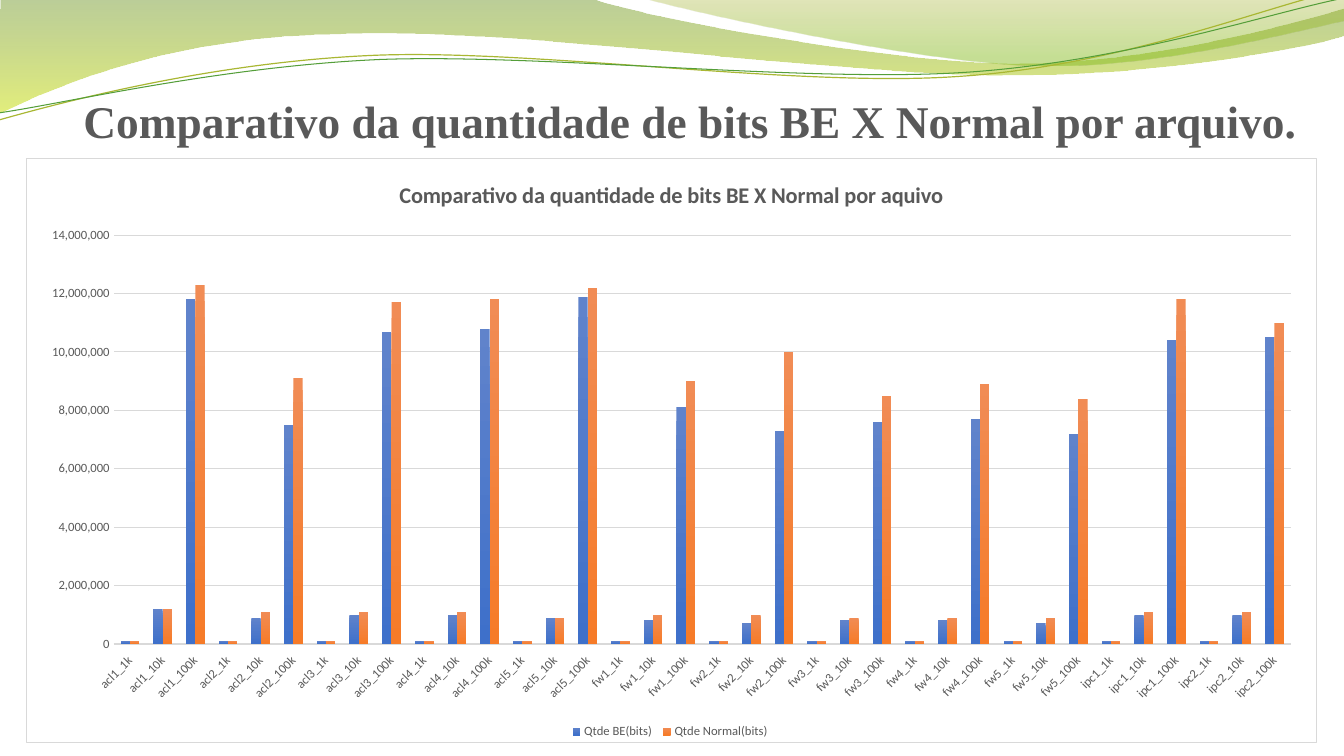
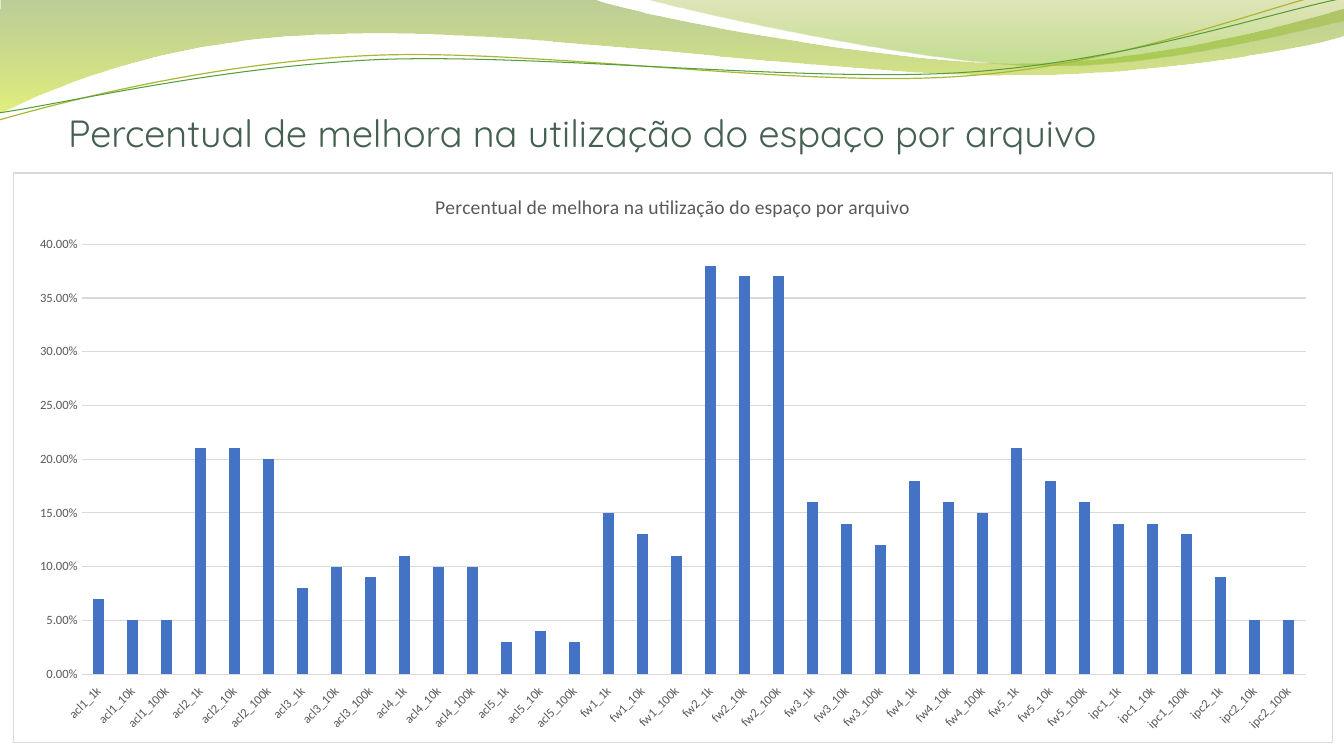
from lxml import etree
from pptx import Presentation
from pptx.chart.data import CategoryChartData
from pptx.dml.color import RGBColor
from pptx.enum import chart as ch, text
from pptx.oxml import parse_xml
from pptx.oxml.ns import nsdecls, qn
from pptx.util import Pt

GRAY = RGBColor(0x59, 0x59, 0x59)
RULE = RGBColor(0xD9, 0xD9, 0xD9)
SLATE = RGBColor(0x45, 0x5F, 0x51)
BLUE = RGBColor(0x44, 0x72, 0xC4)
BLUES = (RGBColor(0x60, 0x83, 0xCB), RGBColor(0x3E, 0x70, 0xCA))
ORANGES = (RGBColor(0xF1, 0x8C, 0x55), RGBColor(0xF6, 0x7B, 0x28))
OLIVE = RGBColor(0x69, 0x92, 0x1C)
LIME = RGBColor(0xCC, 0xE1, 0x0F)
MOSS = RGBColor(0x9B, 0xAA, 0x1A)
LEAF = RGBColor(0x81, 0xBA, 0x16)
GREEN = RGBColor(0x54, 0x9E, 0x39)
STRAW = RGBColor(0xA9, 0xB7, 0x33)

# Each wave: start point, then a line (one point) or a curve (three points) per step.
# Gradient stops are (position, colour, opacity in percent).
WAVES = [
    {"stops": [(0, OLIVE, 45), (1, LIME, 55)], "start": (0, 0), "steps": [
        [(422.6, -0.7)],
        [(456.5, 12.2), (636.5, 45.4), (728, 45.4)],
        [(818.6, 45.4), (919.4, 18.7), (960, 6.5)],
        [(960.5, 26)],
        [(944, 31.7), (834.5, 54.7), (715.7, 54)],
        [(596.9, 54), (366.5, 20.2), (247, 24.5)],
        [(123.1, 25.9), (43.9, 59.8), (-1.4, 81.4)]]},
    {"stops": [(0, MOSS, 30), (0.8, LEAF, 45)], "start": (459.4, -0.7), "steps": [
        [(488.9, 7.9), (654.5, 44.6), (738, 46.8)],
        [(820.8, 49.7), (923, 23), (960, 15.1)],
        [(960, 0)]]},
    {"line": (STRAW, 0.85), "start": (-0.7, 85.7), "steps": [
        [(45.4, 72.7), (151.2, 44.6), (265.7, 39.6)],
        [(379.4, 34.6), (568.1, 62.6), (683.3, 54.7)],
        [(799.2, 47.5), (900.7, 5.8), (957.6, -7.2)]]},
    {"line": (GREEN, 0.75), "start": (-0.7, 80.6), "steps": [
        [(44.6, 74.2), (157, 47.5), (271.4, 42.5)],
        [(386.6, 38.2), (573.1, 59), (687.6, 51.8)],
        [(802.1, 44.6), (903.6, 10.1), (959.8, -1.4)]]},
]

RULE_SETS = [f"acl{n}" for n in range(1, 6)] + [f"fw{n}" for n in range(1, 6)] + ["ipc1", "ipc2"]
FILES = [f"{rules}_{size}" for rules in RULE_SETS for size in ("1k", "10k", "100k")]

# Millions of bits, one row per two rule sets
BE_BITS = [
    0.1, 1.2, 11.8, 0.1, 0.9, 7.5,
    0.1, 1.0, 10.7, 0.1, 1.0, 10.8,
    0.1, 0.9, 11.9, 0.1, 0.8, 8.1,
    0.1, 0.7, 7.3, 0.1, 0.8, 7.6,
    0.1, 0.8, 7.7, 0.1, 0.7, 7.2,
    0.1, 1.0, 10.4, 0.1, 1.0, 10.5]
NORMAL_BITS = [
    0.1, 1.2, 12.3, 0.1, 1.1, 9.1,
    0.1, 1.1, 11.7, 0.1, 1.1, 11.8,
    0.1, 0.9, 12.2, 0.1, 1.0, 9.0,
    0.1, 1.0, 10.0, 0.1, 0.9, 8.5,
    0.1, 0.9, 8.9, 0.1, 0.9, 8.4,
    0.1, 1.1, 11.8, 0.1, 1.1, 11.0]
# Share of space saved, same order
GAINS = [
    0.07, 0.05, 0.05, 0.21, 0.21, 0.20,
    0.08, 0.10, 0.09, 0.11, 0.10, 0.10,
    0.03, 0.04, 0.03, 0.15, 0.13, 0.11,
    0.38, 0.37, 0.37, 0.16, 0.14, 0.12,
    0.18, 0.16, 0.15, 0.21, 0.18, 0.16,
    0.14, 0.14, 0.13, 0.09, 0.05, 0.05]

SLIDES = [
    {"title": {"text": "Comparativo da quantidade de bits BE X Normal por arquivo.",
               "at": (35.3, 55.8, 915.1, 49.7), "font": "Times New Roman", "size": 32.4,
               "color": GRAY, "bold": True, "align": text.PP_ALIGN.CENTER},
     "chart": {"title": "Comparativo da quantidade de bits BE X Normal por aquivo",
               "title_size": 16, "title_bold": True, "at": (18.5, 112.9, 922.3, 418),
               "gap": 150, "overlap": 0, "format": "#,##0", "top": 14_000_000,
               "unit": 2_000_000, "axis_width": 1, "legend": True,
               "series": [
                   ("Qtde BE(bits) ", [round(v * 1_000_000) for v in BE_BITS], BLUES),
                   ("Qtde Normal(bits) ", [round(v * 1_000_000) for v in NORMAL_BITS], ORANGES)]}},
    {"title": {"text": "Percentual de melhora na utilização do espaço por arquivo",
               "at": (48.7, 73.4, 905, 37.4), "font": "Quicksand", "size": 27,
               "color": SLATE, "bold": False, "align": text.PP_ALIGN.LEFT},
     "chart": {"title": "Percentual de melhora na utilização do espaço por arquivo",
               "title_size": 14, "title_bold": False, "at": (9.4, 123.2, 942.5, 407.8),
               "gap": 219, "overlap": -27, "format": "0.00%", "top": 0.4,
               "unit": 0.05, "axis_width": 0.75, "legend": False,
               "series": [("Series 1", GAINS, (BLUE,))]}},
]


def set_font(font, name, size, color, bold=False):
    font.name, font.size, font.bold = name, Pt(size), bold
    font.color.rgb = color


def set_gradient(fill, stops):
    """Fill from top to bottom with two (position, colour) stops."""
    fill.gradient()
    fill.gradient_angle = 270
    for stop, (position, color) in zip(fill.gradient_stops, stops):
        stop.position = position
        stop.color.rgb = color


def bend(shape, steps):
    """Join the line segments of each three-point step into one Bézier curve."""
    segments = iter(list(shape.element.iter(qn("a:lnTo"))))
    for step in steps:
        parts = [next(segments) for _ in step]
        if len(parts) == 1:
            continue
        curve = etree.Element(qn("a:cubicBezTo"))
        parts[0].addprevious(curve)
        for part in parts:
            curve.append(part[0])
            part.getparent().remove(part)


def add_waves(page):
    for wave in WAVES:
        filled = "stops" in wave
        builder = page.shapes.build_freeform(*map(Pt, wave["start"]))
        points = [(Pt(x), Pt(y)) for step in wave["steps"] for x, y in step]
        builder.add_line_segments(points, close=filled)
        shape = builder.convert_to_shape()
        bend(shape, wave["steps"])
        shape.shadow.inherit = False
        if filled:
            set_gradient(shape.fill, [stop[:2] for stop in wave["stops"]])
            shape.line.fill.background()
            colors = shape.element.spPr.iter(qn("a:srgbClr"))
            for color, stop in zip(list(colors), wave["stops"]):
                etree.SubElement(color, qn("a:alpha")).set("val", str(stop[2] * 1000))
        else:
            shape.fill.background()
            shape.line.color.rgb, width = wave["line"]
            shape.line.width = Pt(width)


def add_title(page, title):
    box = page.shapes.add_textbox(*map(Pt, title["at"]))
    frame = box.text_frame
    frame.word_wrap = True
    frame.vertical_anchor = text.MSO_ANCHOR.BOTTOM
    frame.margin_left = frame.margin_right = frame.margin_bottom = 0
    frame.margin_top = Pt(3.6)
    para = frame.paragraphs[0]
    para.text = title["text"]
    para.alignment = title["align"]
    set_font(para.font, title["font"], title["size"], title["color"], title["bold"])


def style_axes(chart, facts):
    for axis in (chart.category_axis, chart.value_axis):
        axis.major_tick_mark = axis.minor_tick_mark = ch.XL_TICK_MARK.NONE
        set_font(axis.tick_labels.font, "Calibri", 9, GRAY)
    files, values = chart.category_axis, chart.value_axis
    files.tick_label_position = ch.XL_TICK_LABEL_POSITION.LOW
    files.format.line.color.rgb = RULE
    files.format.line.width = Pt(facts["axis_width"])
    label_body = files._element.find(qn("c:txPr")).find(qn("a:bodyPr"))
    label_body.set("rot", "-2700000")
    label_body.set("vert", "horz")
    values.minimum_scale, values.maximum_scale = 0, facts["top"]
    values.major_unit = facts["unit"]
    values.tick_labels.number_format = facts["format"]
    values.tick_labels.number_format_is_linked = False
    values.format.line.fill.background()
    values.major_gridlines.format.line.color.rgb = RULE
    values.major_gridlines.format.line.width = Pt(0.75)


def add_border(chart):
    border = parse_xml(
        f'<c:spPr {nsdecls("c", "a")}><a:solidFill><a:srgbClr val="FFFFFF"/></a:solidFill>'
        f'<a:ln w="{Pt(0.75)}"><a:solidFill><a:srgbClr val="{RULE}"/></a:solidFill></a:ln></c:spPr>')
    chart._chartSpace.find(qn("c:chart")).addnext(border)


def add_column_chart(page, facts):
    data = CategoryChartData(number_format=facts["format"])
    data.categories = FILES
    for name, values, _ in facts["series"]:
        data.add_series(name, values)
    chart = page.shapes.add_chart(
        ch.XL_CHART_TYPE.COLUMN_CLUSTERED, *map(Pt, facts["at"]), data).chart
    set_font(chart.font, "Calibri", 10, GRAY)
    chart.has_title = True
    para = chart.chart_title.text_frame.paragraphs[0]
    para.text = facts["title"]
    set_font(para.font, "Calibri", facts["title_size"], GRAY, facts["title_bold"])
    chart.chart_title.include_in_layout = False

    chart.has_legend = facts["legend"]
    if facts["legend"]:
        chart.legend.position = ch.XL_LEGEND_POSITION.BOTTOM
        chart.legend.include_in_layout = False
        set_font(chart.legend.font, "Calibri", 9, GRAY)

    plot = chart.plots[0]
    plot.vary_by_categories = False
    plot.gap_width, plot.overlap = facts["gap"], facts["overlap"]
    for series, (_, _, colors) in zip(plot.series, facts["series"]):
        series.invert_if_negative = False
        if len(colors) == 1:
            series.format.fill.solid()
            series.format.fill.fore_color.rgb = colors[0]
        else:
            set_gradient(series.format.fill, list(enumerate(colors)))
    style_axes(chart, facts)
    add_border(chart)


def main():
    deck = Presentation()
    deck.slide_width, deck.slide_height = Pt(960), Pt(540)
    for content in SLIDES:
        page = deck.slides.add_slide(deck.slide_layouts[6])
        add_waves(page)
        add_title(page, content["title"])
        add_column_chart(page, content["chart"])
    deck.save("out.pptx")


if __name__ == "__main__":
    main()
